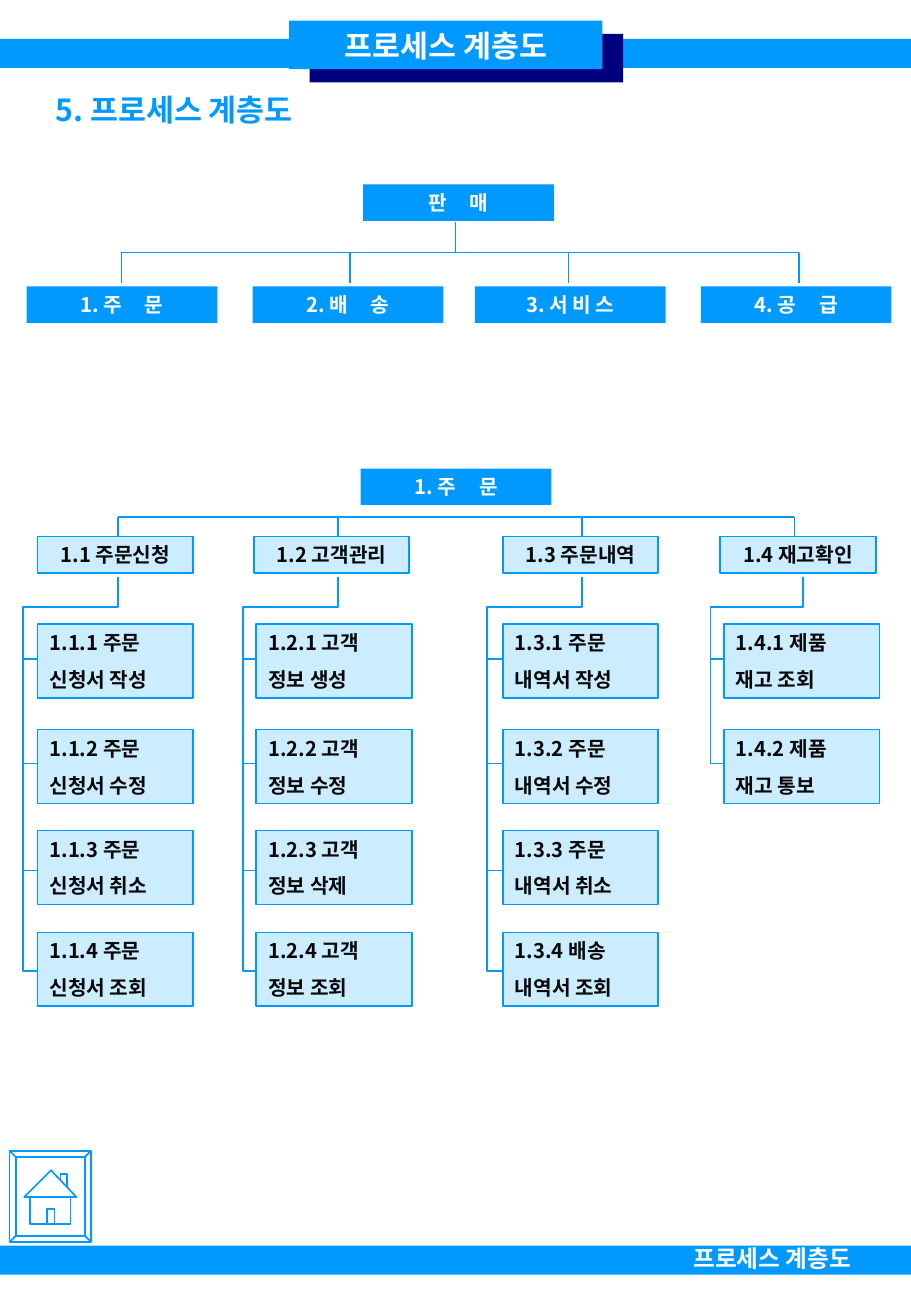
from dataclasses import dataclass

import pptx
import pptx.dml.color
import pptx.enum.shapes
import pptx.enum.text
import pptx.oxml
import pptx.oxml.ns
import pptx.util
from lxml import etree

Inches = pptx.util.Inches
Pt = pptx.util.Pt
ALIGN = pptx.enum.text.PP_ALIGN
ANCHOR = pptx.enum.text.MSO_ANCHOR


@dataclass(frozen=True)
class Theme:
    font: str = "Noto Sans CJK KR"
    blue: str = "0099FF"
    navy: str = "000080"
    pale: str = "CCECFF"
    white: str = "FFFFFF"
    ink: str = "080808"
    title_size: float = 18
    footer_size: float = 14
    label_size: float = 12
    line_gap: float = 7.5
    letter_gap: float = 10.8
    line_width: float = 1


@dataclass(frozen=True)
class Box:
    left: float
    top: float
    width: float
    height: float

    def lengths(self):
        return [Inches(v) for v in (self.left, self.top, self.width, self.height)]


@dataclass(frozen=True)
class Branch:
    title: str
    header_left: float
    child_left: float
    trunk: float
    drop: float
    stem: float
    children: tuple


THEME = Theme()
HEADING = "프로세스 계층도"
AREAS = (("1. 주 문", 0, 0.78), ("2. 배 송", 1.86, 2.66),
         ("3. 서 비 스", 3.69, 4.46), ("4. 공 급", 5.55, 6.36))
ROW_TOPS = (0.72, 1.59, 2.42, 3.26)
TICK_ROWS = (1.01, 1.87, 2.75, 3.58)
# Branch lengths are measured from the left edge of the detail tree.
BRANCHES = (
    Branch("1.1 주문신청", 0.12, 0.12, 0, 0.78, 0.78,
           ("1.1.1 주문\n신청서 작성", "1.1.2 주문\n신청서 수정",
            "1.1.3 주문\n신청서 취소", "1.1.4 주문\n신청서 조회")),
    Branch("1.2 고객관리", 1.9, 1.92, 1.81, 2.59, 2.59,
           ("1.2.1 고객\n정보 생성", "1.2.2 고객\n정보 수정",
            "1.2.3 고객\n정보 삭제", "1.2.4 고객\n정보 조회")),
    Branch("1.3 주문내역", 3.95, 3.95, 3.82, 4.6, 4.6,
           ("1.3.1 주문\n내역서 작성", "1.3.2 주문\n내역서 수정",
            "1.3.3 주문\n내역서 취소", "1.3.4 배송\n내역서 조회")),
    Branch("1.4 재고확인", 5.74, 5.77, 5.66, 6.35, 6.42,
           ("1.4.1 제품\n재고 조회", "1.4.2 제품\n재고 통보")),
)


def rgb(color):
    return pptx.dml.color.RGBColor.from_string(color)


def write(shape, text, size, color, align=ALIGN.LEFT, anchor=ANCHOR.TOP, spread=False):
    """Fill a shape with bold text; spread widens the last gap between letters."""
    frame = shape.text_frame
    frame.text = text
    frame.word_wrap = True
    frame.vertical_anchor = anchor
    for index, paragraph in enumerate(frame.paragraphs):
        paragraph.alignment = align
        if index:
            paragraph.space_before = Pt(THEME.line_gap)
        if spread:
            parts = text.rpartition(" ")
            paragraph.runs[0].text = parts[0]
            for part in parts[1:]:
                paragraph.add_run().text = part
            gap = paragraph.runs[1]._r.get_or_add_rPr()
            gap.set("spc", str(round(THEME.letter_gap * 100)))
        for run in paragraph.runs:
            run.font.name = THEME.font
            run.font.size = Pt(size)
            run.font.bold = True
            run.font.color.rgb = rgb(color)
            east_asian = etree.SubElement(run._r.get_or_add_rPr(), pptx.oxml.ns.qn("a:ea"))
            east_asian.set("typeface", THEME.font)


def add_text(slide, box, text, size, color):
    write(slide.shapes.add_textbox(*box.lengths()), text, size, color)


def add_rectangle(slide, box, fill, outline=None):
    shape = slide.shapes.add_shape(pptx.enum.shapes.MSO_SHAPE.RECTANGLE, *box.lengths())
    shape.shadow.inherit = False
    shape.fill.solid()
    shape.fill.fore_color.rgb = rgb(fill)
    if outline:
        shape.line.color.rgb = rgb(outline)
        shape.line.width = Pt(THEME.line_width)
    else:
        shape.line.fill.background()
    return shape


def add_solid_label(slide, box, text, size=THEME.label_size, spread=False):
    shape = add_rectangle(slide, box, THEME.blue)
    write(shape, text, size, THEME.white, ALIGN.CENTER, ANCHOR.MIDDLE, spread)


def add_pale_label(slide, box, text, align):
    shape = add_rectangle(slide, box, THEME.pale, THEME.blue)
    write(shape, text, THEME.label_size, THEME.ink, align, ANCHOR.MIDDLE)


def add_line(slide, *ends):
    line = slide.shapes.add_connector(
        pptx.enum.shapes.MSO_CONNECTOR.STRAIGHT, *(Inches(end) for end in ends))
    line.line.color.rgb = rgb(THEME.blue)
    line.line.width = Pt(THEME.line_width)
    etree.SubElement(line._element.spPr, pptx.oxml.ns.qn("a:effectLst"))


def add_outline(slide, left, top, contours):
    """Draw unfilled contours, each a list of points and whether it closes."""
    builder = None
    for points, close in contours:
        first, *rest = [(Inches(left + x), Inches(top + y)) for x, y in points]
        if builder is None:
            builder = slide.shapes.build_freeform(*first, scale=1.0)
        else:
            builder.move_to(*first)
        builder.add_line_segments(rest, close=close)
    shape = builder.convert_to_shape()
    shape.shadow.inherit = False
    shape.fill.background()
    shape.line.color.rgb = rgb(THEME.blue)
    shape.line.width = Pt(THEME.line_width)


def add_header(slide, box):
    add_rectangle(slide, Box(box.left, box.top + 0.15, box.width, 0.24), THEME.blue)
    add_rectangle(slide, Box(box.left + 2.55, box.top + 0.11, 2.58, 0.4), THEME.navy)
    add_solid_label(slide, Box(box.left + 2.38, box.top, 2.58, 0.4), HEADING, THEME.title_size)
    add_text(slide, Box(box.left + 0.36, box.top + 0.53, 4.64, 0.4),
             "5. " + HEADING, THEME.title_size, THEME.blue)


def add_footer(slide, box):
    add_rectangle(slide, Box(box.left, box.top + 0.06, box.width, 0.24), THEME.blue)
    add_text(slide, Box(box.left + 5.61, box.top, 1.73, 0.34),
             HEADING, THEME.footer_size, THEME.white)


def add_sales_tree(slide, box):
    left, top = box.left, box.top
    rail = top + 0.56
    add_solid_label(slide, Box(left + 2.77, top, 1.57, 0.3), "판 매", spread=True)
    add_line(slide, left + 3.53, top + 0.31, left + 3.53, rail)
    add_line(slide, left + AREAS[0][2], rail, left + AREAS[-1][2], rail)
    for text, offset, drop in AREAS:
        add_line(slide, left + drop, rail, left + drop, rail + 0.25)
        add_solid_label(slide, Box(left + offset, top + 0.84, 1.57, 0.3), text,
                        spread=text.count(" ") == 2 or None)


def add_branch(slide, left, top, branch):
    add_pale_label(slide, Box(left + branch.header_left, top, 1.28, 0.3),
                   branch.title, ALIGN.CENTER)
    ticks = TICK_ROWS[:len(branch.children)]
    elbow = [(branch.stem, 0.33), (branch.stem, 0.58), (branch.trunk, 0.58),
             (branch.trunk, ticks[-1]), (branch.child_left, ticks[-1])]
    add_outline(slide, left, top, [(elbow, False)])
    for tick in ticks[:-1]:
        add_line(slide, left + branch.trunk, top + tick, left + branch.child_left, top + tick)
    for text, row in zip(branch.children, ROW_TOPS):
        add_pale_label(slide, Box(left + branch.child_left, top + row, 1.28, 0.61),
                       text, ALIGN.LEFT)


def add_order_tree(slide, box):
    left, top = box.left, box.top
    rail, branch_top = top + 0.4, top + 0.56
    add_solid_label(slide, Box(left + 2.78, top, 1.57, 0.3), AREAS[0][0], spread=True)
    add_line(slide, left + BRANCHES[0].drop, rail, left + BRANCHES[-1].drop, rail)
    for branch in BRANCHES:
        add_line(slide, left + branch.drop, branch_top, left + branch.drop, rail)
        add_branch(slide, left, branch_top, branch)


def add_home_button(slide, box):
    right, bottom, bevel = box.width, box.height, 0.05
    outer = [(0, 0), (right, 0), (right, bottom), (0, bottom)]
    inner = [(bevel, bevel), (right - bevel, bevel),
             (right - bevel, bottom - bevel), (bevel, bottom - bevel)]
    roof = [(0.34, 0.16), (0.55, 0.38), (0.12, 0.38)]
    chimney = [(0.42, 0.24), (0.42, 0.19), (0.47, 0.19), (0.47, 0.3)]
    walls = [(0.17, 0.38), (0.5, 0.38), (0.5, 0.6), (0.17, 0.6)]
    door = [(0.31, 0.6), (0.31, 0.48), (0.37, 0.48), (0.37, 0.6)]
    contours = [(points, True) for points in (outer, inner, roof, walls)]
    contours += [(points, False) for points in (chimney, door, *zip(outer, inner))]
    add_outline(slide, box.left, box.top, contours)


def main():
    presentation = pptx.Presentation()
    presentation.slide_width = Inches(7.5)
    presentation.slide_height = Inches(10.84)
    slide = presentation.slides.add_slide(presentation.slide_layouts[6])
    add_header(slide, Box(0, 0.17, 7.5, 0.93))
    add_sales_tree(slide, Box(0.22, 1.52, 7.12, 1.14))
    add_order_tree(slide, Box(0.19, 3.86, 7.05, 4.43))
    add_home_button(slide, Box(0.08, 9.48, 0.67, 0.75))
    add_footer(slide, Box(0, 10.2, 7.5, 0.34))
    presentation.save("out.pptx")


if __name__ == "__main__":
    main()
